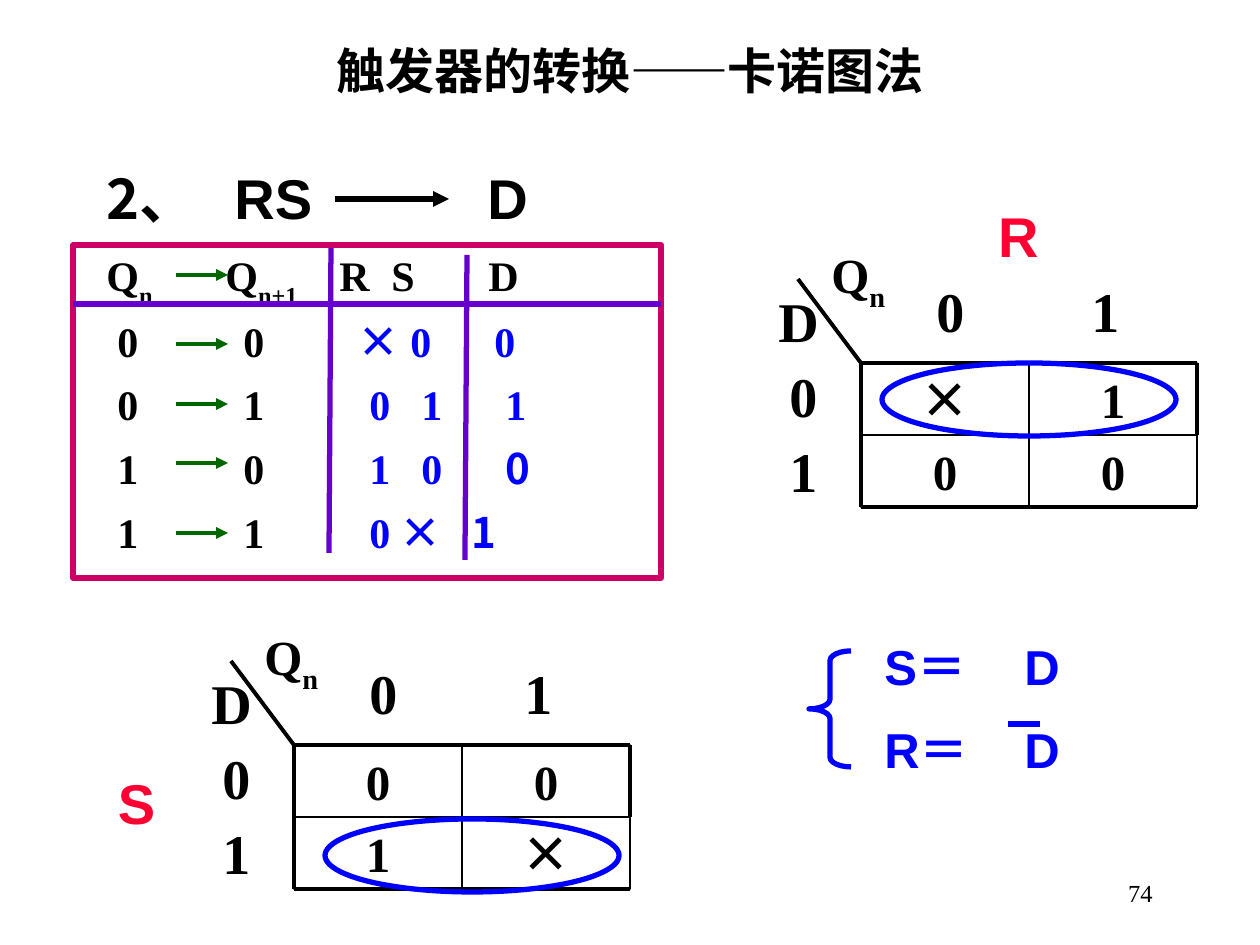
from pptx import Presentation
from pptx.dml.color import RGBColor
from pptx.enum.shapes import MSO_CONNECTOR, MSO_SHAPE as SHAPE
from pptx.enum.text import MSO_ANCHOR as ANCHOR, MSO_AUTO_SIZE, PP_ALIGN as ALIGN
from pptx.oxml.ns import qn
from pptx.util import Pt
from lxml.etree import SubElement

PX = 914400 / 126
COLORS = {"black": "000000", "white": "FFFFFF", "red": "FF0033", "blue": "0000FF",
          "pink": "CC0066", "purple": "6600CC", "green": "006600"}
SERIF, SANS, CJK = "Times New Roman", "Arial", "Noto Sans CJK SC"


def px(*lengths):
    return [round(length * PX) for length in lengths]


def rgb(name):
    return RGBColor.from_string(COLORS[name])


def write(para, spans, size, font=SERIF, color="black", bold=True,
          align=ALIGN.LEFT, before=50, spacing=None, tabs=()):
    """Fill a paragraph; a span is text or (text, overrides)."""
    para.alignment = align
    if spacing:
        para.line_spacing = spacing
    para.space_before = Pt(0)
    props = para._p.get_or_add_pPr()
    gap = props.find(qn("a:spcBef"))
    gap.clear()
    SubElement(gap, qn("a:spcPct"), val=str(before * 1000))
    if tabs:
        stops = SubElement(props, qn("a:tabLst"))
        for stop in tabs:
            SubElement(stops, qn("a:tab"), pos=str(px(stop)[0]), algn="l")
    for span in spans:
        text, extra = (span, {}) if isinstance(span, str) else span
        run = para.add_run()
        run.text = text
        run.font.size, run.font.bold = Pt(size), bold
        run.font.name = extra.get("font", font)
        run.font.color.rgb = rgb(extra.get("color", color))
        run_props = run._r.get_or_add_rPr()
        SubElement(run_props, qn("a:ea"), typeface=CJK)
        if extra.get("sub"):
            run_props.set("baseline", "-30000")


def add_text(page, box, lines, size, **style):
    frame = page.shapes.add_textbox(*px(*box)).text_frame
    frame.word_wrap = True
    for i, spans in enumerate(lines):
        para = frame.add_paragraph() if i else frame.paragraphs[0]
        write(para, spans, size, **style)
    return frame


def add_shape(page, kind, box, line, width, fill=None):
    shape = page.shapes.add_shape(kind, *px(*box))
    shape.shadow.inherit = False
    if fill:
        shape.fill.solid()
        shape.fill.fore_color.rgb = rgb(fill)
    else:
        shape.fill.background()
    shape.line.color.rgb, shape.line.width = rgb(line), Pt(width)
    shape.text_frame.vertical_anchor = ANCHOR.TOP
    return shape


def add_line(page, ends, color, width, arrow=False):
    line = page.shapes.add_connector(MSO_CONNECTOR.STRAIGHT, *px(*ends))
    line.line.color.rgb, line.line.width = rgb(color), Pt(width)
    if arrow:
        SubElement(line.line._get_or_add_ln(), qn("a:tailEnd"), type="triangle")
    SubElement(line._element.spPr, qn("a:effectLst"))


def add_title(page, box):
    title = page.shapes.title
    title.left, title.top, title.width, title.height = px(*box)
    frame = title.text_frame
    frame.auto_size, frame.vertical_anchor = MSO_AUTO_SIZE.NONE, ANCHOR.TOP
    write(frame.paragraphs[0], ["触发器的转换——卡诺图法"], 28, SANS, align=ALIGN.CENTER)


def add_heading(page, x, y):
    add_text(page, (x, y, 494, 79), [[("2、", {"font": CJK}), "\tRS\tD"]], 32,
             font=SANS, tabs=(128, 381))
    add_line(page, (x + 241, y + 42, x + 355, y + 42), "black", 3, arrow=True)


def add_transition_table(page, x, y, width, height):
    frame = add_shape(page, SHAPE.RECTANGLE, (x, y, width, height), "pink", 3, "white").text_frame
    frame.word_wrap = True
    blue, cjk, sub = {"color": "blue"}, {"color": "blue", "font": CJK}, {"sub": True}
    rows = [
        (["\tQ", ("n", sub), "\tQ", ("n+1", sub), "\tR\tS\tD"], (21, 140, 254, 306, 403)),
        (["\t0\t0", ("\t×", cjk), ("\t0\t0", blue)], (32, 158, 272, 325, 409)),
        (["\t0\t1", ("\t0\t1\t1", blue)], (32, 158, 284, 336, 420)),
        (["\t1\t0", ("\t1\t0", blue), ("\t0", cjk)], (32, 158, 284, 336, 420)),
        (["\t1\t1", ("\t0", blue), ("\t×\t1", cjk)], (32, 158, 284, 314, 386)),
    ]
    for i, (spans, tabs) in enumerate(rows):
        para = frame.add_paragraph() if i else frame.paragraphs[0]
        write(para, spans, 24, spacing=0.85, tabs=tabs)
    # Rules between the columns and below the header
    for top, offset in ((3, 258), (10, 394)):
        add_line(page, (x + offset, y + top, x + offset - 2, y + top + 305), "purple", 3)
    add_line(page, (x, y + 59, x + width, y + 59), "purple", 3)
    # Arrow from each state to the next
    for offset in (30, 99, 159, 218, 288):
        add_line(page, (x + 103, y + offset, x + 155, y + offset), "green", 2.25, arrow=True)


def add_karnaugh_map(page, x, y, values, loop):
    """Two by two map with its grid corner at x, y; loop is the ellipse's offset."""
    w, h = 168, 72
    for row, pair in enumerate(values):
        for col, value in enumerate(pair):
            cell = add_shape(page, SHAPE.RECTANGLE, (x + col * w, y + row * h, w, h), "black", 1)
            write(cell.text_frame.paragraphs[0], [value], 28,
                  font=CJK if value == "×" else SERIF, align=ALIGN.CENTER, before=20)
    # Grid lines and the corner diagonal
    right, bottom = 2 * w, 2 * h
    for x1, y1, x2, y2, weight in (
            (0, 0, right, 0, 2.25), (0, h, right, h, 1), (0, bottom, right, bottom, 2.25),
            (0, 0, 0, bottom, 2.25), (w, 0, w, bottom, 1),
            (right, h, right, bottom, 1), (right, 0, right, h, 2.25), (-63, -84, 0, 0, 2.25)):
        add_line(page, (x + x1, y + y1, x + x2, y + y2), "black", weight)
    # Axis labels
    add_text(page, (x + 63, y - 93, 252, 79), [["0\t1"]], 32, tabs=(155,))
    add_text(page, (x - 84, y + 11, 84, 140), [["0"], ["1"]], 32, spacing=0.7)
    add_text(page, (x - 95, y - 83, 84, 79), [["D"]], 32)
    add_text(page, (x - 42, y - 125, 84, 72), [["Q", ("n", {"sub": True})]], 28)
    # Loop around the grouped cells
    add_shape(page, SHAPE.OVAL, (x + loop[0], y + loop[1], 294, 73), "blue", 3)


def add_map_name(page, x, y, name):
    frame = add_shape(page, SHAPE.OVAL, (x, y, 105, 73), "white", 0.75, "white").text_frame
    frame.word_wrap, frame.vertical_anchor = False, ANCHOR.MIDDLE
    write(frame.paragraphs[0], [name], 32, SANS, "red", align=ALIGN.CENTER, before=0)


def add_equations(page, x, y):
    add_text(page, (x + 63, y, 294, 160), [["S＝\tD"], ["R＝\tD"]], 28,
             font=SANS, color="blue", tabs=(140,))
    brace = add_shape(page, SHAPE.LEFT_BRACE, (x, y + 21, 42, 116), "blue", 3)
    brace.adjustments[0] = 0.23
    add_line(page, (x + 199, y + 94, x + 231, y + 94), "blue", 3)


def add_page_number(page, box):
    frame = add_text(page, box, [["74"]], 14, bold=False, align=ALIGN.RIGHT, before=0)
    frame.vertical_anchor = ANCHOR.MIDDLE


def main():
    deck = Presentation()
    deck.slide_width, deck.slide_height = px(1260, 945)
    page = deck.slides.add_slide(deck.slide_layouts[5])
    add_title(page, (0, 34, 1260, 72))
    add_heading(page, 94, 157)
    add_transition_table(page, 73, 245, 588, 333)
    add_map_name(page, 966, 199, "R")
    add_karnaugh_map(page, 861, 363, ["×1", "00"], loop=(21, 0))
    add_map_name(page, 84, 766, "S")
    add_karnaugh_map(page, 294, 745, ["00", "1×"], loop=(31, 74))
    add_equations(page, 809, 630)
    add_page_number(page, (903, 861, 262, 63))
    deck.save("out.pptx")


if __name__ == "__main__":
    main()
